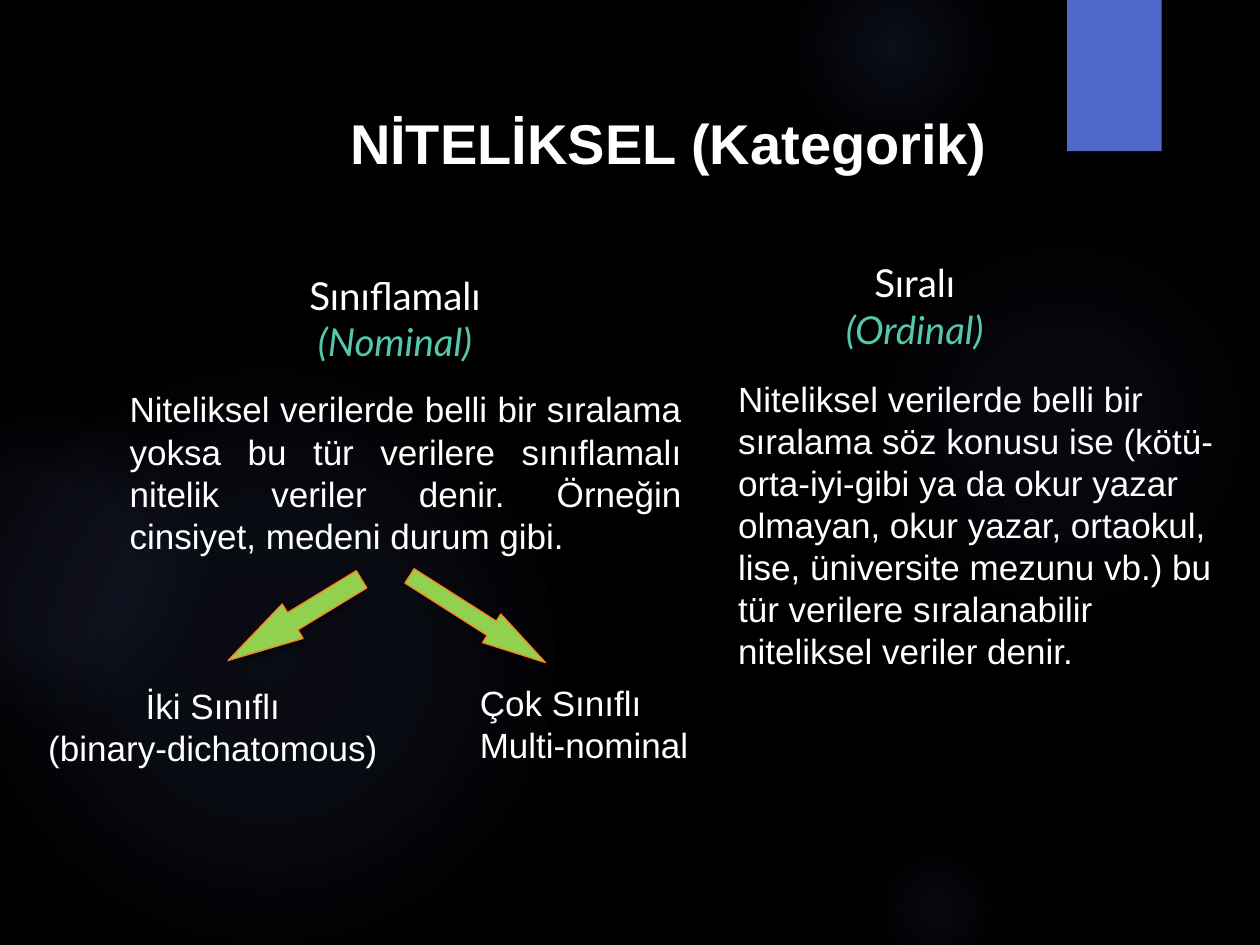
from lxml import etree
from pptx import Presentation
from pptx.dml.color import RGBColor
from pptx.enum import shapes, text
from pptx.oxml import ns
from pptx.util import Inches, Pt

BLACK = RGBColor(0x00, 0x00, 0x00)
WHITE = RGBColor(0xFF, 0xFF, 0xFF)
TEAL = RGBColor(0x56, 0xC7, 0xAA)
BLUE = RGBColor(0x4E, 0x67, 0xC8)
GLOW = RGBColor(0x59, 0x68, 0xB0)
GREEN = RGBColor(0x92, 0xD0, 0x50)
ORANGE = RGBColor(0xFF, 0x80, 0x21)
DUSK = RGBColor(0x21, 0x27, 0x45)

LEFT, MID, JUST = text.PP_ALIGN.LEFT, text.PP_ALIGN.CENTER, text.PP_ALIGN.JUSTIFY

# left, top, diameter, ((position %, opacity %), ...)
GLOWS = [
    (6.89, 1.83, 3.08, ((0, 7), (36, 6), (69, 0))),
    (6.22, -0.5, 1.75, ((0, 14), (36, 7), (73, 0))),
    (6.89, 6.67, 1.08, ((0, 9), (36, 5), (66, 0))),
    (-0.17, 2.92, 4.58, ((0, 11), (36, 10), (75, 0))),
    (-0.92, 3.17, 2.58, ((0, 8), (36, 8), (72, 0))),
]
TAB = (8.47, 0, 0.75, 1.2)
TITLE = ((2.68, 0.81, 5.3, 0.64), ["NİTELİKSEL (Kategorik)"])
HEADS = [
    ((6.54, 2.01, 1.44, 0.84), ["Sıralı", "(Ordinal)"]),
    ((2.34, 2.11, 1.59, 0.84), ["Sınıflamalı", "(Nominal)"]),
]
BODIES = [
    ((5.76, 2.95, 4, 2.46), LEFT, [
        "Niteliksel verilerde belli bir sıralama söz konusu ise (kötü-orta-iyi-gibi "
        "ya da okur yazar olmayan, okur yazar, ortaokul,",
        "lise, üniversite mezunu vb.) bu tür verilere sıralanabilir niteliksel "
        "veriler denir."]),
    ((0.93, 3.03, 4.58, 1.45), JUST, [
        "Niteliksel verilerde belli bir sıralama yoksa bu tür verilere sınıflamalı "
        "nitelik veriler denir. Örneğin cinsiyet, medeni durum gibi."]),
]
KINDS = [
    ((0.27, 5.38, 2.84, 0.77), MID, ["İki Sınıflı\v(binary-dichatomous)"]),
    ((3.71, 5.36, 1.87, 0.77), LEFT, ["Çok Sınıflı", "Multi-nominal"]),
]
ARROWS = [((1.72, 4.76, 1.24, 0.32), 148.7), ((3.15, 4.78, 1.28, 0.27), 32.5)]


def add(parent, tag, **attrs):
    return etree.SubElement(parent, ns.qn(tag), attrs)


def tint(parent, color, alpha):
    clr = add(parent, "a:srgbClr", val=str(color))
    add(clr, "a:alpha", val=str(alpha * 1000))


def shade(props, color, alpha, blur, dist, angle):
    """Add an outer shadow to shape or run properties."""
    effect = add(add(props, "a:effectLst"), "a:outerShdw", blurRad=str(Pt(blur)),
                 dist=str(Pt(dist)), dir=str(angle * 60000), rotWithShape="0")
    tint(effect, color, alpha)


def draw(slide, kind, box, fill=None, line=None):
    item = slide.shapes.add_shape(kind, *map(Inches, box))
    if fill is not None:
        item.fill.solid()
        item.fill.fore_color.rgb = fill
    if line is None:
        item.line.fill.background()
    else:
        item.line.color.rgb = line
        item.line.width = Pt(0.75)
    return item


def glow(slide, left, top, size, stops):
    item = draw(slide, shapes.MSO_SHAPE.OVAL, (left, top, size, size))
    item.shadow.inherit = False
    grad = etree.Element(ns.qn("a:gradFill"), rotWithShape="1")
    ramp = add(grad, "a:gsLst")
    for pos, alpha in stops:
        tint(add(ramp, "a:gs", pos=str(pos * 1000)), GLOW, alpha)
    center = add(grad, "a:path", path="circle")
    add(center, "a:fillToRect", l="50000", t="50000", r="50000", b="50000")
    item.element.spPr.find(ns.qn("a:prstGeom")).addnext(grad)


def write(slide, box, lines, size, face="Arial", align=LEFT, wrap=False, cast=False):
    frame = slide.shapes.add_textbox(*map(Inches, box)).text_frame
    frame.word_wrap = wrap
    frame.text = "\n".join(lines)
    for para in frame.paragraphs:
        para.alignment = align
        para.font.name, para.font.size = face, Pt(size)
        para.font.color.rgb = WHITE
        if cast:
            for run in para.runs:
                shade(run.font._element, DUSK, 100, 0, 3, 45)
    return frame.paragraphs


def main():
    deck = Presentation()
    deck.slide_width, deck.slide_height = Inches(10), Inches(7.5)
    slide = deck.slides.add_slide(deck.slide_layouts[6])
    slide.background.fill.solid()
    slide.background.fill.fore_color.rgb = BLACK

    for spot in GLOWS:
        glow(slide, *spot)
    tab = draw(slide, shapes.MSO_SHAPE.RECTANGLE, TAB, BLUE)
    shade(tab.element.spPr, BLACK, 45, 3, 2, 90)

    for box, lines in HEADS:
        paras = write(slide, box, lines, 22, "Lato", MID, cast=True)
        paras[1].font.color.rgb = TEAL
        paras[1].font.italic = True
    for box, align, lines in BODIES:
        write(slide, box, lines, 20, align=align, wrap=True)
    for box, align, lines in KINDS:
        write(slide, box, lines, 20, align=align, cast=True)

    for box, turn in ARROWS:
        arrow = draw(slide, shapes.MSO_SHAPE.RIGHT_ARROW, box, GREEN, ORANGE)
        arrow.adjustments[0], arrow.adjustments[1] = 0.5, 1.875
        arrow.rotation = turn
        shade(arrow.element.spPr, BLACK, 45, 3, 2, 90)

    write(slide, *TITLE, 32)[0].font.bold = True
    deck.save("out.pptx")


if __name__ == "__main__":
    main()
